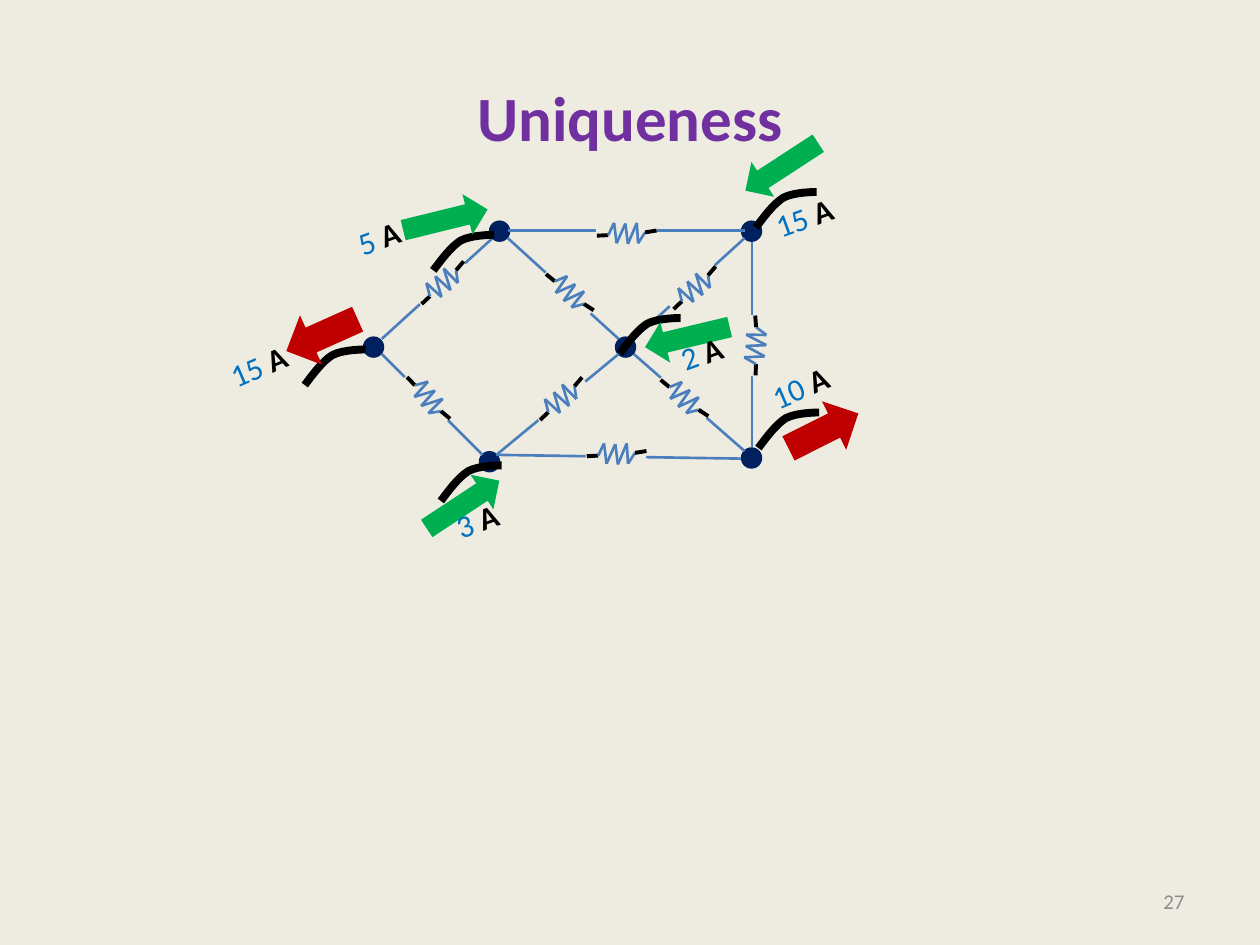
"""Builds a slide with a resistor network and its external currents."""
from math import cos, radians, sin

from lxml.etree import SubElement
from pptx import Presentation
from pptx.dml.color import RGBColor
from pptx.enum.shapes import MSO_CONNECTOR, MSO_SHAPE
from pptx.enum.text import MSO_ANCHOR, MSO_AUTO_SIZE, PP_ALIGN
from pptx.oxml.ns import qn
from pptx.util import Inches, Pt

OVAL, RECT, ARROW = MSO_SHAPE.OVAL, MSO_SHAPE.RECTANGLE, MSO_SHAPE.UP_ARROW
LINE = MSO_CONNECTOR.STRAIGHT
MIDDLE, FIT = MSO_ANCHOR.MIDDLE, MSO_AUTO_SIZE.SHAPE_TO_FIT_TEXT
LEFT, CENTER, RIGHT = PP_ALIGN.LEFT, PP_ALIGN.CENTER, PP_ALIGN.RIGHT

FONT = "Calibri"
COLORS = {
    "ground": "EEECE1", "title": "7030A0", "number": "8C8C8C",
    "node": "002060", "wire": "4B7EBC", "lead": "000000",
    "value": "0070C0", "out": "C00000", "in": "00B050",
}
DOT = 0.17
NODES = [(2.88, 2.67), (3.8, 3.58), (3.88, 1.75),
         (5.88, 1.75), (5.88, 3.55), (4.88, 2.67)]
WIRES = [
    (3.03, 2.81, 3.83, 3.61), (3.03, 2.69, 3.91, 1.89),
    (4.91, 2.69, 4.03, 1.89), (5.03, 2.69, 5.91, 1.89),
    (3.94, 3.61, 5.88, 3.64), (3.94, 3.61, 4.91, 2.81),
    (5.91, 3.58, 5.03, 2.81), (5.91, 1.83, 4.03, 1.83),
    (5.97, 3.55, 5.97, 1.92),
]
ZIGZAG = [(-0.23, 0.05), (-0.14, 0.04), (-0.1, -0.06), (-0.07, 0.1),
          (-0.01, -0.06), (0.02, 0.1), (0.08, -0.07), (0.1, 0.09),
          (0.15, 0), (0.24, -0.02)]
RESISTORS = [
    (5.74, 2.59, 278.1), (5.26, 2.12, 323), (3.26, 2.08, 323),
    (4.2, 3, 323), (4.65, 3.43, 3.5), (5.2, 2.99, 45.7),
    (4.29, 2.15, 45.7), (3.17, 2.99, 52.6), (4.73, 1.68, 3.5),
]
START = (0, 0.41)
BENDS = [[(0.04, 0.3), (0.08, 0.19), (0.14, 0.12)],
         [(0.21, 0.05), (0.38, 0), (0.38, 0)]]
CURVES = [(6.07, 3.21), (3.49, 1.8), (2.47, 2.71),
          (6.05, 1.46), (4.97, 2.46), (3.55, 3.63)]
SIZES = {"out": (0.43, 0.62), "in": (0.33, 0.69)}
CURRENTS = [
    ("out", (2.34, 2.35, 245.9), "15 ", (1.72, 2.7, 336.6)),
    ("out", (6.32, 3.11, 63.4), "10 ", (6.02, 2.87, 336.6)),
    ("in", (3.37, 1.4, 76.2), "5 ", (2.74, 1.68, 340)),
    ("in", (6.04, 0.98, 236.9), "15 ", (6.05, 1.52, 340)),
    ("in", (5.29, 2.33, 256.6), "2 ", (5.3, 2.6, 340)),
    ("in", (3.51, 3.66, 56.6), "3 ", (3.52, 3.93, 340)),
]


def color(name):
    """Return the named colour."""
    return RGBColor.from_string(COLORS[name])


def add_form(shapes, kind, box, fill, turn=0):
    """Add a filled shape without an outline."""
    form = shapes.add_shape(kind, *map(Inches, box))
    form.shadow.inherit = False
    form.fill.solid()
    form.fill.fore_color.rgb = color(fill)
    form.line.fill.background()
    form.rotation = turn


def add_line(shapes, ends, name, width):
    """Add a straight line between two points."""
    line = shapes.add_connector(LINE, *map(Inches, ends))
    line.line.color.rgb = color(name)
    line.line.width = Pt(width)
    SubElement(line._element.spPr, qn("a:effectLst"))


def add_text(shapes, box, runs, size, align, turn=0):
    """Add a text box from (text, colour, bold) runs."""
    form = shapes.add_textbox(*map(Inches, box))
    form.rotation = turn
    frame = form.text_frame
    frame.word_wrap = True
    frame.vertical_anchor = MIDDLE
    par = frame.paragraphs[0]
    par.alignment = align
    par.font.name, par.font.size = FONT, Pt(size)
    for text, name, bold in runs:
        run = par.add_run()
        run.text = text
        run.font.color.rgb = color(name)
        run.font.bold = bold
    return frame


def add_resistor(shapes, left, top, turn):
    """Add a zigzag with two leads, turned about its middle."""
    wide, high = 0.48, 0.31
    add_form(shapes, RECT, (left, top, wide, high), "ground", turn)
    c, s = cos(radians(turn)), sin(radians(turn))
    mid_x, mid_y = left + wide / 2, top + high / 2
    points = [(mid_x + x * c - y * s, mid_y + x * s + y * c)
              for x, y in ZIGZAG]
    last = len(points) - 2
    for i, (start, end) in enumerate(zip(points, points[1:])):
        style = ("lead", 2.25) if i in (0, last) else ("wire", 1.5)
        add_line(shapes, start + end, *style)


def add_curve(shapes, left, top):
    """Add a thick wire bent along two cubic curves."""
    pen = shapes.build_freeform(
        Inches(left + START[0]), Inches(top + START[1]), scale=1)
    pen.add_line_segments([(Inches(left + x), Inches(top + y))
                           for *_, (x, y) in BENDS], close=False)
    curve = pen.convert_to_shape()
    outline = next(curve._element.iter(qn("a:path")))
    for step in outline.findall(qn("a:lnTo")):
        outline.remove(step)
    for bend in BENDS:
        step = SubElement(outline, qn("a:cubicBezTo"))
        for x, y in bend:
            SubElement(step, qn("a:pt"), x=str(Inches(x)), y=str(Inches(y)))
    curve.rotation = 16.8
    curve.shadow.inherit = False
    curve.fill.background()
    curve.line.color.rgb = color("lead")
    curve.line.width = Pt(4.5)


def add_current(shapes, kind, arrow, value, label):
    """Add a current's arrow and its label in amperes."""
    left, top, turn = arrow
    add_form(shapes, ARROW, (left, top, *SIZES[kind]), kind, turn)
    left, top, turn = label
    wide = 0.67 if len(value) > 2 else 0.54
    runs = [(value, "value", False), ("A", "lead", True)]
    frame = add_text(shapes, (left, top, wide, 0.4), runs, 18, LEFT, turn)
    frame.word_wrap = False
    frame.auto_size = FIT


def main():
    """Build and save the slide."""
    deck = Presentation()
    deck.slide_width, deck.slide_height = Inches(10), Inches(7.5)
    slide = deck.slides.add_slide(deck.slide_layouts[6])
    back = slide.background.fill
    back.solid()
    back.fore_color.rgb = color("ground")
    shapes = slide.shapes
    add_text(shapes, (0.5, 0.3, 9, 1.25), [("Uniqueness", "title", True)],
             36, CENTER)
    add_text(shapes, (7.17, 6.95, 2.33, 0.4), [("27", "number", False)],
             12, RIGHT)
    for left, top in NODES:
        add_form(shapes, OVAL, (left, top, DOT, DOT), "node")
    for ends in WIRES:
        add_line(shapes, ends, "wire", 1.5)
    for place in RESISTORS:
        add_resistor(shapes.add_group_shape().shapes, *place)
    bent = shapes.add_group_shape().shapes
    for place in CURVES:
        add_curve(bent, *place)
    flows = shapes.add_group_shape().shapes
    for current in CURRENTS:
        add_current(flows, *current)
    deck.save("out.pptx")


if __name__ == "__main__":
    main()
